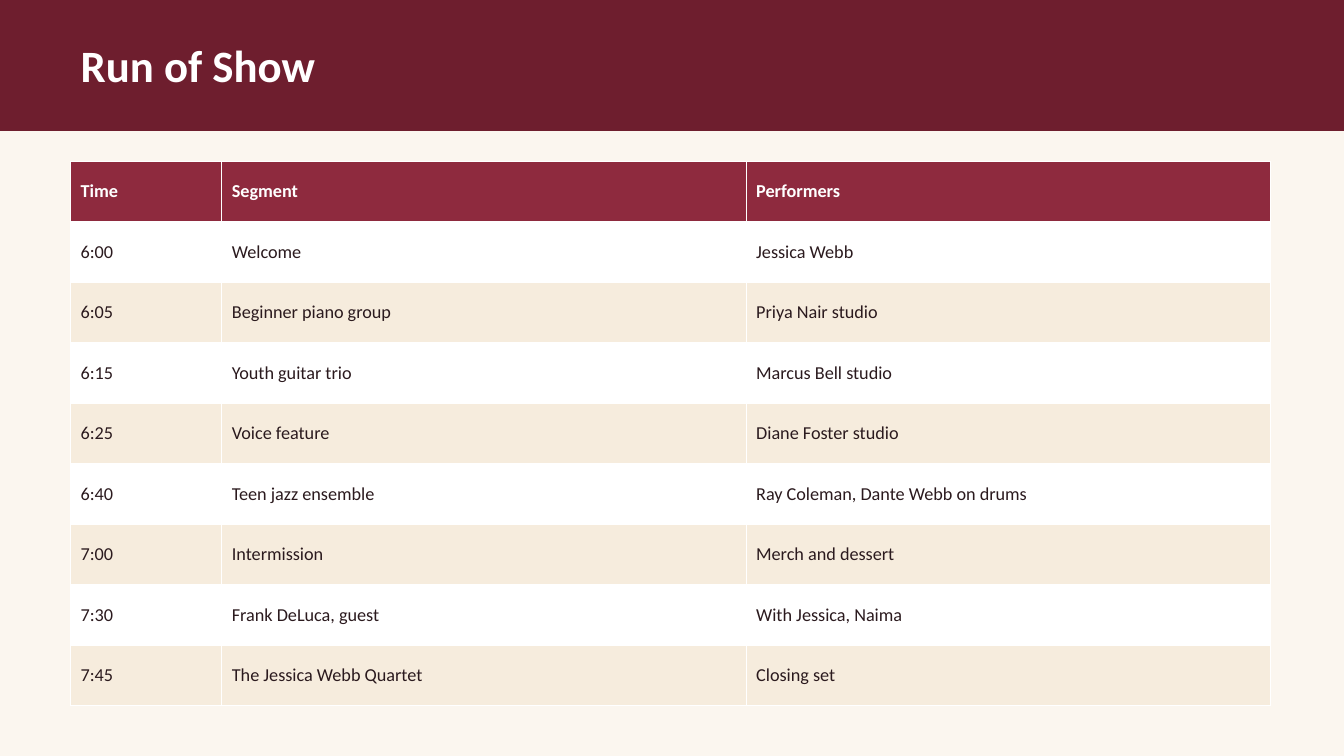
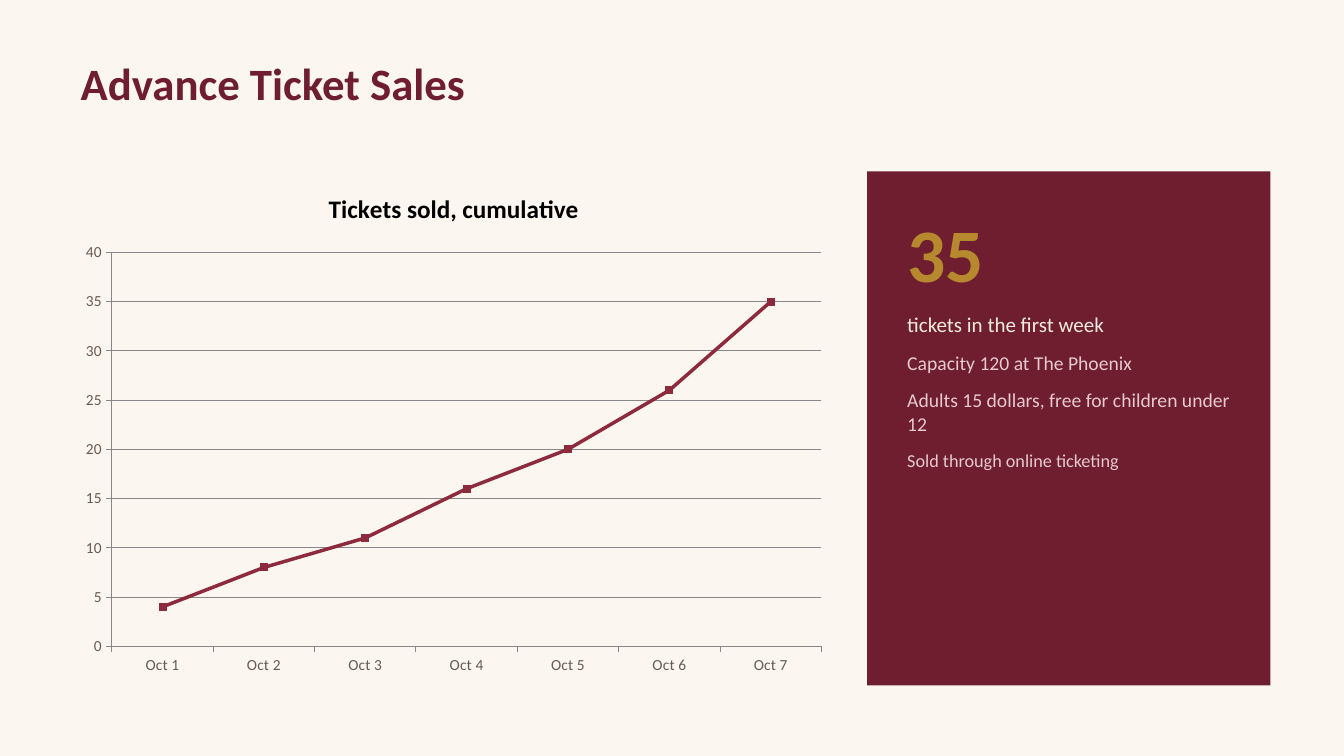
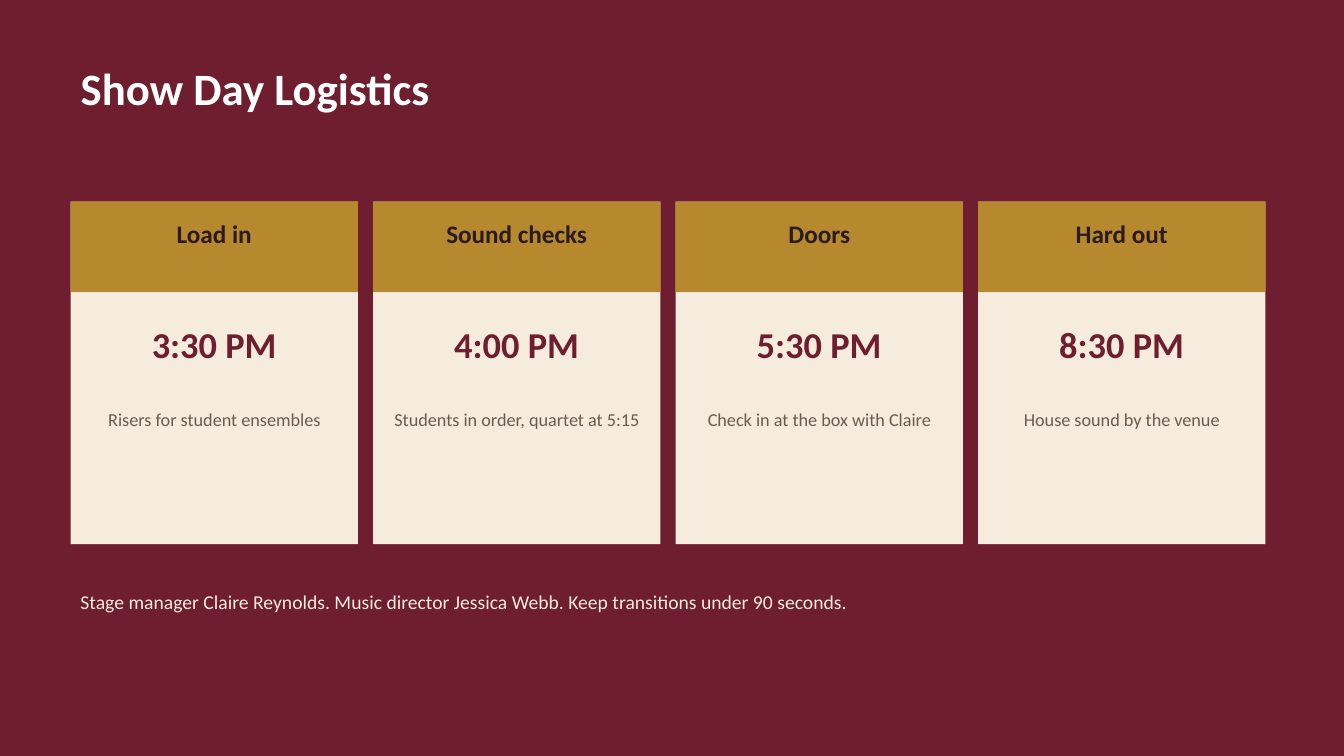
from lxml import etree
from pptx import Presentation
from pptx.chart.data import CategoryChartData as ChartData
from pptx.dml.color import RGBColor as RGB
from pptx.enum.chart import XL_CHART_TYPE as Kind, XL_MARKER_STYLE as Marker, XL_TICK_MARK as Tick
from pptx.enum.shapes import MSO_SHAPE as Shape
from pptx.enum.text import MSO_ANCHOR as Anchor, MSO_AUTO_SIZE as Auto, PP_ALIGN as Align
from pptx.oxml.ns import qn
from pptx.util import Emu, Pt

# Style: 100 px to the inch
SCALE = 9144
WIDE, HIGH = 1333, 750
LEFT = 70
FONT = "Calibri"
WINE = RGB(0x6E, 0x1E, 0x2E)
ROSE = RGB(0x8E, 0x2A, 0x3E)
PINK = RGB(0xE7, 0xC9, 0xCF)
GOLD = RGB(0xB6, 0x89, 0x2F)
SAND = RGB(0xF6, 0xEC, 0xDD)
CREAM = RGB(0xFB, 0xF6, 0xEF)
WHITE = RGB(0xFF, 0xFF, 0xFF)
BLACK = RGB(0, 0, 0)
INK = RGB(0x2B, 0x1A, 0x1E)
TAUPE = RGB(0x6A, 0x5A, 0x52)


def px(*nums):
    return [Emu(n * SCALE) for n in nums]


class Deck:
    def __init__(self):
        self.prs = Presentation()
        self.prs.slide_width, self.prs.slide_height = px(WIDE, HIGH)
        self.slide = None

    def page(self, back):
        self.slide = self.prs.slides.add_slide(self.prs.slide_layouts[5])
        fill = self.slide.background.fill
        fill.solid()
        fill.fore_color.rgb = back

    def style(self, font, size, color, bold=False):
        font.name, font.size, font.bold = FONT, Pt(size), bold
        font.color.rgb = color

    def run(self, para, text, size, color, bold=False):
        run = para.add_run()
        run.text = text
        self.style(run.font, size, color, bold)

    def title(self, text, top, color):
        head = self.slide.shapes.title
        head.left, head.top, head.width, head.height = px(LEFT, top, 1100, 80)
        # Bring the title in front of any band
        head.element.getparent().append(head.element)
        frame = head.text_frame
        frame.vertical_anchor = Anchor.TOP
        frame.auto_size = Auto.SHAPE_TO_FIT_TEXT
        para = frame.paragraphs[0]
        para.alignment = Align.LEFT
        self.run(para, text, 32, color, True)

    def rect(self, x, y, w, h, color):
        box = self.slide.shapes.add_shape(Shape.RECTANGLE, *px(x, y, w, h))
        box.shadow.inherit = False
        box.fill.solid()
        box.fill.fore_color.rgb = color
        box.line.fill.background()

    def text(self, x, y, w, h, lines, align=Align.LEFT, after=0):
        frame = self.slide.shapes.add_textbox(*px(x, y, w, h)).text_frame
        frame.word_wrap = True
        frame.auto_size = Auto.SHAPE_TO_FIT_TEXT
        for i, line in enumerate(lines):
            para = frame.add_paragraph() if i else frame.paragraphs[0]
            para.alignment = align
            para.space_after = Pt(after)
            self.run(para, *line)

    def cell(self, cell, text, fill, color, bold):
        cell.margin_left, cell.margin_right, cell.margin_top, cell.margin_bottom = px(10, 10, 4, 4)
        cell.vertical_anchor = Anchor.MIDDLE
        props = cell._tc.get_or_add_tcPr()
        for side in ("a:lnL", "a:lnR", "a:lnT", "a:lnB"):
            edge = etree.SubElement(props, qn(side), w=str(Pt(1)))
            paint = etree.SubElement(edge, qn("a:solidFill"))
            etree.SubElement(paint, qn("a:srgbClr"), val=str(WHITE))
        cell.fill.solid()
        cell.fill.fore_color.rgb = fill
        self.run(cell.text_frame.paragraphs[0], text, 13, color, bold)

    def table(self, x, y, cols, high, rows):
        frame = self.slide.shapes.add_table(
            len(rows), len(cols), *px(x, y, sum(cols), high * len(rows)))
        grid = frame.table
        for col, wide in zip(grid.columns, px(*cols)):
            col.width = wide
        for r, row in enumerate(rows):
            grid.rows[r].height = px(high)[0]
            fill = SAND if r % 2 == 0 else WHITE
            look = (fill, INK, False) if r else (ROSE, WHITE, True)
            for c, text in enumerate(row):
                self.cell(grid.cell(r, c), text, *look)

    def chart(self, x, y, w, h, name, points):
        data = ChartData()
        data.categories = list(points)
        data.add_series(name, list(points.values()))
        chart = self.slide.shapes.add_chart(
            Kind.LINE_MARKERS, *px(x, y, w, h), data).chart
        self.style(chart.font, 18, BLACK)
        chart.has_legend = False
        chart.has_title = True
        self.run(chart.chart_title.text_frame.paragraphs[0], name, 18, BLACK, True)
        for axis in (chart.category_axis, chart.value_axis):
            self.style(axis.tick_labels.font, 11, TAUPE)
            axis.major_tick_mark = Tick.OUTSIDE
        chart.value_axis.has_major_gridlines = True
        plot = chart.plots[0]
        plot.vary_by_categories = False
        line = plot.series[0]
        line.smooth = False
        line.format.line.width = Pt(2.5)
        line.format.line.color.rgb = ROSE
        line.marker.style = Marker.SQUARE
        for part in (line.marker.format.fill, line.marker.format.line.fill):
            part.solid()
            part.fore_color.rgb = ROSE

    def card(self, x, y, w, name, time, note):
        self.rect(x, y, w, 340, SAND)
        self.rect(x, y, w, 90, GOLD)
        for down, high, line in (
            (12, 70, (name, 18, INK, True)),
            (115, 70, (time, 26, WINE, True)),
            (200, 120, (note, 13, TAUPE)),
        ):
            self.text(x, y + down, w, high, [line], Align.CENTER)


def main():
    deck = Deck()

    # Run of show
    deck.page(CREAM)
    deck.rect(0, 0, WIDE, 130, WINE)
    deck.title("Run of Show", 32, WHITE)
    deck.table(LEFT, 160, (150, 520, 520), 60, [
        ("Time", "Segment", "Performers"),
        ("6:00", "Welcome", "Jessica Webb"),
        ("6:05", "Beginner piano group", "Priya Nair studio"),
        ("6:15", "Youth guitar trio", "Marcus Bell studio"),
        ("6:25", "Voice feature", "Diane Foster studio"),
        ("6:40", "Teen jazz ensemble", "Ray Coleman, Dante Webb on drums"),
        ("7:00", "Intermission", "Merch and dessert"),
        ("7:30", "Frank DeLuca, guest", "With Jessica, Naima"),
        ("7:45", "The Jessica Webb Quartet", "Closing set"),
    ])

    # Ticket sales
    deck.page(CREAM)
    deck.title("Advance Ticket Sales", 50, WINE)
    sold = (4, 8, 11, 16, 20, 26, 35)
    deck.chart(LEFT, 170, 760, 510, "Tickets sold, cumulative",
               {f"Oct {day}": count for day, count in enumerate(sold, 1)})
    deck.rect(860, 170, 400, 510, WINE)
    deck.text(890, 200, 350, 460, [
        ("35", 54, GOLD, True),
        ("tickets in the first week", 15, SAND),
        ("Capacity 120 at The Phoenix", 14, PINK),
        ("Adults 15 dollars, free for children under 12", 14, PINK),
        ("Sold through online ticketing", 13, PINK),
    ], after=10)

    # Show day
    deck.page(WINE)
    deck.title("Show Day Logistics", 55, WHITE)
    wide, gap = 285, 15
    for i, stage in enumerate((
        ("Load in", "3:30 PM", "Risers for student ensembles"),
        ("Sound checks", "4:00 PM", "Students in order, quartet at 5:15"),
        ("Doors", "5:30 PM", "Check in at the box with Claire"),
        ("Hard out", "8:30 PM", "House sound by the venue"),
    )):
        deck.card(LEFT + i * (wide + gap), 200, wide, *stage)
    deck.text(LEFT, 580, 1190, 80, [(
        "Stage manager Claire Reynolds. Music director Jessica Webb. "
        "Keep transitions under 90 seconds.", 14, SAND)])

    deck.prs.save("out.pptx")


if __name__ == "__main__":
    main()
